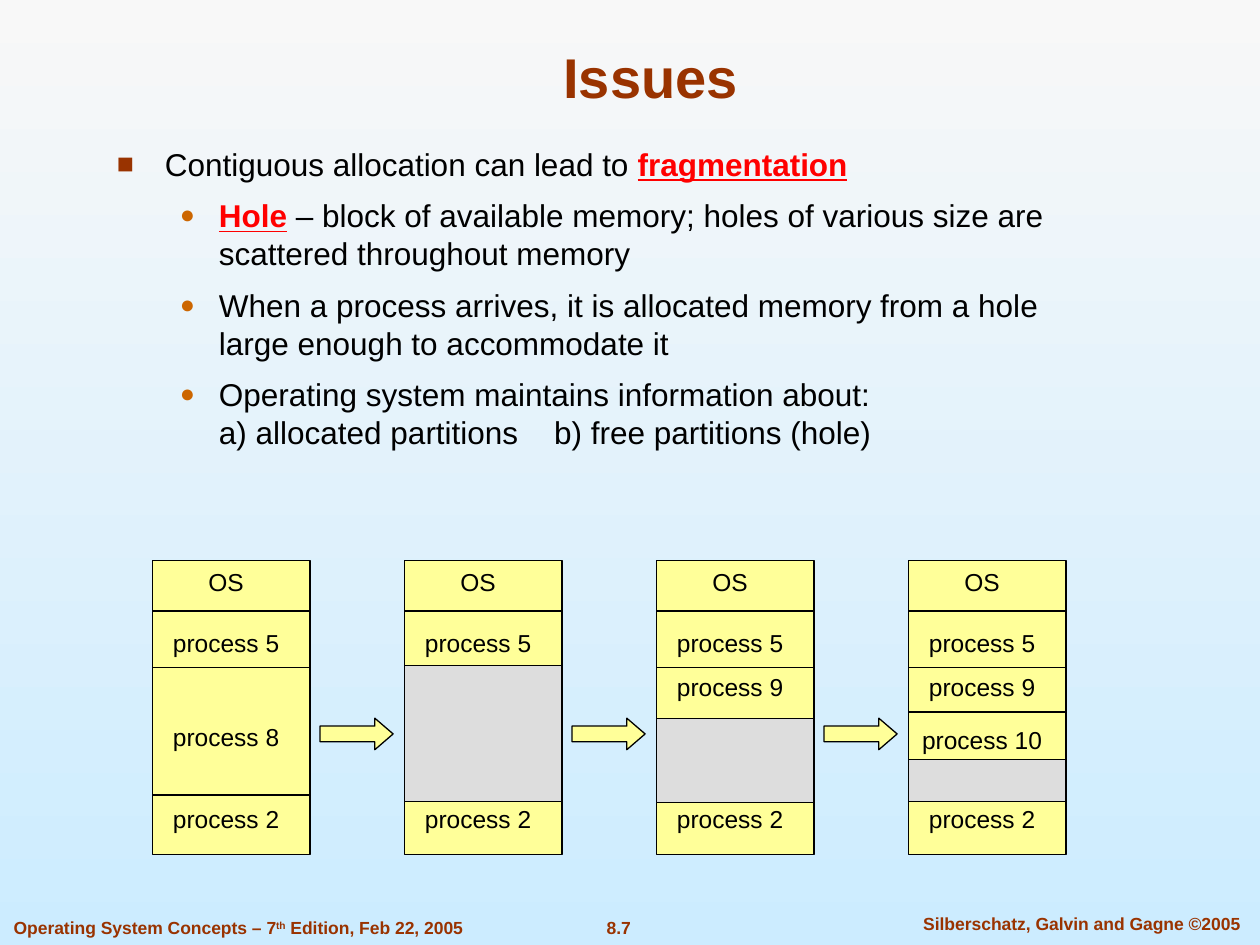
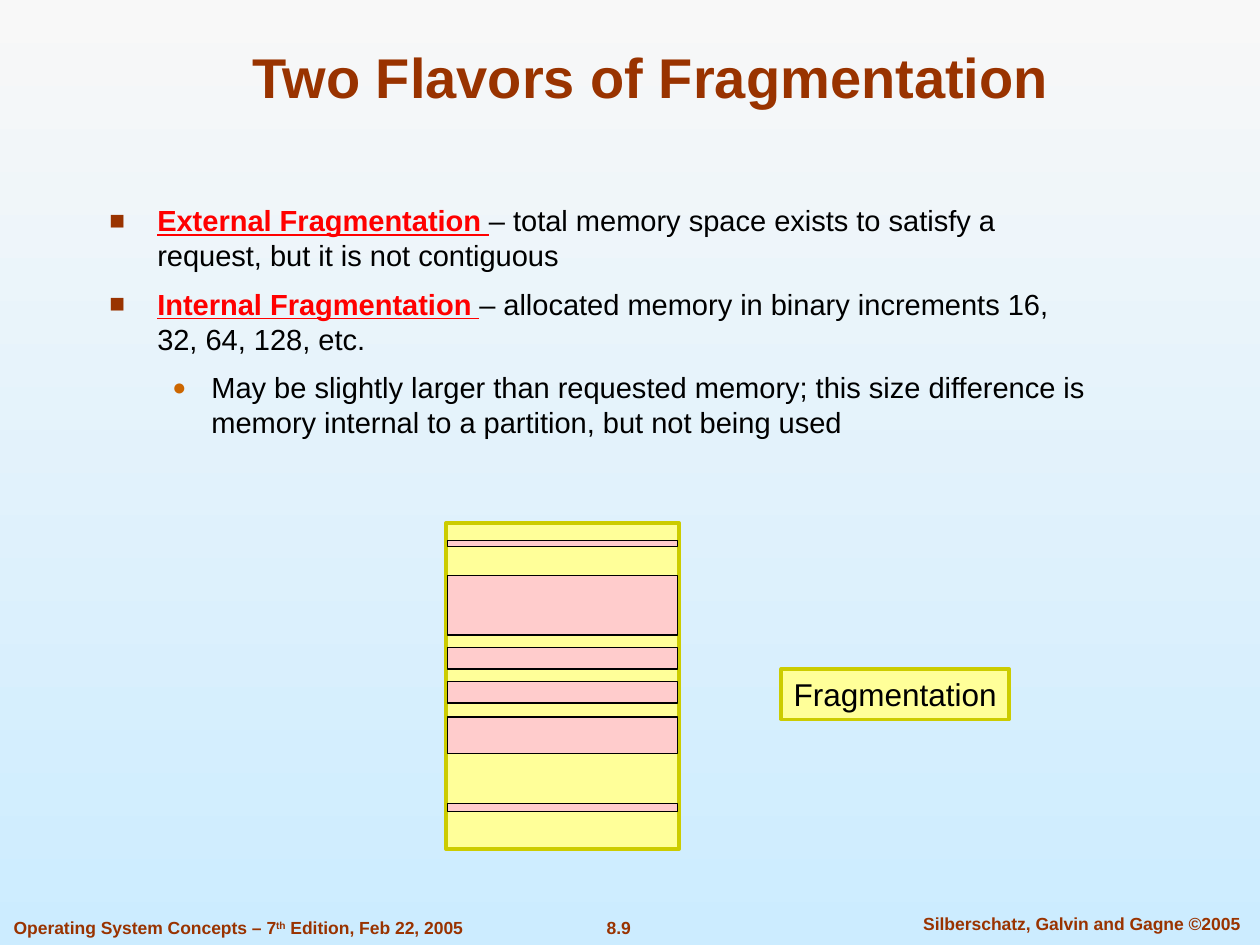
from lxml import etree
from pptx import Presentation
from pptx.dml.color import RGBColor
from pptx.enum.shapes import MSO_CONNECTOR, MSO_SHAPE
from pptx.enum.text import MSO_ANCHOR, PP_ALIGN
from pptx.oxml.ns import qn
from pptx.util import Inches, Pt

RECT, ARROW = MSO_SHAPE.RECTANGLE, MSO_SHAPE.RIGHT_ARROW
STRAIGHT = MSO_CONNECTOR.STRAIGHT
LEFT, CENTER = PP_ALIGN.LEFT, PP_ALIGN.CENTER
TOP, MIDDLE, BOTTOM = MSO_ANCHOR.TOP, MSO_ANCHOR.MIDDLE, MSO_ANCHOR.BOTTOM

FONT = "Arial"
BROWN, ORANGE, RED, BLACK = "993300", "CC6600", "FF0000", "000000"
YELLOW, OLIVE, GRAY, PINK = "FFFF99", "CCCC00", "DDDDDD", "FFCCCC"
BACKGROUND = ("F8F8F8", "CCECFF")

HEADING = {"size": Pt(32), "bold": True}
FOOTER = {"size": Pt(10), "bold": True}
KEY_TERM = {"bold": True, "underline": True}

# Level: bullet, colour, size in percent, left margin, hanging indent
BULLETS = [("■", BROWN, 90, 0.38, 0.38), ("●", ORANGE, 80, 0.81, 0.31)]

# Paragraphs: level, key term, text before the term, text after it
ISSUES = {
    "title": "Issues", "number": "8.7", "box": (0.83, 1.1, 7.7, 4.93), "size": 18,
    "points": [
        (0, "fragmentation", "Contiguous allocation can lead to ", ""),
        (1, "Hole", "", " – block of available memory; holes of various size are "
                        "scattered throughout memory"),
        (1, "", "", "When a process arrives, it is allocated memory from a hole "
                    "large enough to accommodate it"),
        (1, "", "", "Operating system maintains information about:\n"
                    "a) allocated partitions\tb) free partitions (hole)"),
    ],
    "tab": 3.47,
}
FLAVORS = {
    "title": "Two Flavors of Fragmentation", "number": "8.9",
    "box": (0.77, 1.56, 8, 1.98), "size": 16.6,
    "points": [
        (0, "External Fragmentation ", "", "– total memory space exists to satisfy a "
                                           "request, but it is not contiguous"),
        (0, "Internal Fragmentation ", "", "– allocated memory in binary increments "
                                           "16, 32, 64, 128, etc."),
        (1, "", "", "May be slightly larger than requested memory; this size difference is "
                    "memory internal to a partition, but not being used"),
    ],
    "tab": None,
}

# Memory columns: labels with their tops, hole (top, height), extra dividers
COLUMNS = [
    ([("process 8", 5.68)], None, []),
    ([], (5.28, 1.08), []),
    ([("process 9", 5.28)], (5.7, 0.67), []),
    ([("process 9", 5.28), ("process 10", 5.7)], (6.03, 0.33), [5.65]),
]
COMMON_LABELS = [("OS", 4.45), ("process 5", 4.93), ("process 2", 6.33)]
COMMON_DIVIDERS = [4.85, 5.3, 6.31]
COLUMN_LEFT, COLUMN_PITCH, COLUMN_TOP = 1.21, 2, 4.45
COLUMN_WIDTH, COLUMN_HEIGHT = 1.25, 2.33

# Used blocks of the fragmented memory: top, height
USED_BLOCKS = [(4.29, 0.05), (4.57, 0.47), (5.14, 0.17), (5.41, 0.17),
               (5.69, 0.29), (6.38, 0.06)]


def color(hex_text):
    return RGBColor.from_string(hex_text)


def add_run(p, text, hex_text, **font):
    r = p.add_run()
    r.text = text
    r.font.name = FONT
    r.font.color.rgb = color(hex_text)
    for name, value in font.items():
        setattr(r.font, name, value)
    return r


def add_text(shapes, box, text="", hex_text=BLACK, align=CENTER, anchor=TOP, **font):
    tf = shapes.add_textbox(*map(Inches, box)).text_frame
    tf.word_wrap, tf.vertical_anchor = True, anchor
    p = tf.paragraphs[0]
    p.alignment = align
    if text:
        add_run(p, text, hex_text, **font)
    return tf


def add_block(shapes, kind, box, fill, line=BLACK, width=0.75):
    sp = shapes.add_shape(kind, *map(Inches, box))
    sp.shadow.inherit = False
    sp.fill.solid()
    sp.fill.fore_color.rgb = color(fill)
    sp.line.color.rgb = color(line)
    sp.line.width = Pt(width)
    return sp


def add_divider(shapes, left, top, width):
    ends = (left, top, left + width, top)
    cxn = shapes.add_connector(STRAIGHT, *map(Inches, ends))
    cxn.line.color.rgb = color(BLACK)
    cxn.line.width = Pt(0.75)
    etree.SubElement(cxn._element.spPr, qn("a:effectLst"))


def set_bullet(p, level, tab):
    char, hex_text, percent, margin, hanging = BULLETS[level]
    pPr = p._p.get_or_add_pPr()
    pPr.set("marL", str(Inches(margin)))
    pPr.set("indent", str(-Inches(hanging)))
    bu_color = etree.SubElement(pPr, qn("a:buClr"))
    etree.SubElement(bu_color, qn("a:srgbClr"), val=hex_text)
    etree.SubElement(pPr, qn("a:buSzPct"), val=str(percent * 1000))
    etree.SubElement(pPr, qn("a:buFont"), typeface=FONT)
    etree.SubElement(pPr, qn("a:buChar"), char=char)
    if tab:
        tabs = etree.SubElement(pPr, qn("a:tabLst"))
        etree.SubElement(tabs, qn("a:tab"), pos=str(Inches(tab)), algn="l")


def add_points(shapes, content):
    tf = add_text(shapes, content["box"], align=LEFT)
    size = Pt(content["size"])
    for i, (level, term, before, after) in enumerate(content["points"]):
        p = tf.add_paragraph() if i else tf.paragraphs[0]
        p.level = level
        set_bullet(p, level, content["tab"] if "\t" in after else None)
        if i:
            p.space_before = Pt(7.9)
        if before:
            add_run(p, before, BLACK, size=size)
        if term:
            add_run(p, term, RED, size=size, **KEY_TERM)
        for n, line in enumerate(after.split("\n") if after else []):
            if n:
                p.add_line_break()
            add_run(p, line, BLACK, size=size)


def add_slide(prs, content):
    """Add a slide with its footers, title and bullet points."""
    s = prs.slides.add_slide(prs.slide_layouts[6])
    add_text(s.shapes, (4.42, 7.23, 0.98, 0.27), content["number"], BROWN, **FOOTER)
    add_text(s.shapes, (7.1, 7.2, 2.97, 0.27), "Silberschatz, Galvin and Gagne ©2005",
             BROWN, **FOOTER)
    tf = add_text(s.shapes, (0.01, 7.23, 4.2, 0.27), "Operating System Concepts – 7",
                  BROWN, LEFT, **FOOTER)
    p = tf.paragraphs[0]
    edition = add_run(p, "th", BROWN, **FOOTER)
    edition.font._element.set("baseline", "30000")
    add_run(p, " Edition, Feb 22, 2005", BROWN, **FOOTER)
    add_text(s.shapes, (0.75, 0.25, 8.83, 0.67), content["title"], BROWN,
             anchor=BOTTOM, **HEADING)
    add_points(s.shapes, content)
    return s


def add_memory_column(shapes, left, labels, hole, dividers):
    add_block(shapes, RECT, (left, COLUMN_TOP, COLUMN_WIDTH, COLUMN_HEIGHT), YELLOW)
    for top in COMMON_DIVIDERS + dividers:
        add_divider(shapes, left, top, COLUMN_WIDTH)
    if hole:
        top, height = hole
        add_block(shapes, RECT, (left, top, COLUMN_WIDTH, height), GRAY)
    for text, top in COMMON_LABELS + labels:
        add_text(shapes, (left, top, 1.17, 0.34), text, anchor=MIDDLE, size=Pt(14))


def add_allocation_steps(s):
    shapes = s.shapes.add_group_shape().shapes
    for i, column in enumerate(COLUMNS):
        left = COLUMN_LEFT + i * COLUMN_PITCH
        add_memory_column(shapes, left, *column)
        if i:
            arrow = add_block(shapes, ARROW, (left - 0.67, 5.7, 0.58, 0.25), YELLOW)
            arrow.adjustments[1] = 0.58


def add_fragmented_memory(s):
    add_block(s.shapes, RECT, (3.54, 4.15, 1.85, 2.59), YELLOW, OLIVE, 2)
    for top, height in USED_BLOCKS:
        add_block(s.shapes, RECT, (3.55, top, 1.83, height), PINK)
    sp = add_block(s.shapes, RECT, (6.2, 5.31, 1.81, 0.4), YELLOW, OLIVE, 2)
    tf = sp.text_frame
    tf.word_wrap = False
    tf.paragraphs[0].alignment = LEFT
    add_run(tf.paragraphs[0], "Fragmentation", BLACK, size=Pt(18))


def main():
    prs = Presentation()
    prs.slide_width, prs.slide_height = Inches(10), Inches(7.5)
    fill = prs.slide_master.background.fill
    fill.gradient()
    fill.gradient_angle = 270
    for stop, hex_text in zip(fill.gradient_stops, BACKGROUND):
        stop.color.rgb = color(hex_text)
    add_allocation_steps(add_slide(prs, ISSUES))
    add_fragmented_memory(add_slide(prs, FLAVORS))
    prs.save("out.pptx")


if __name__ == "__main__":
    main()
